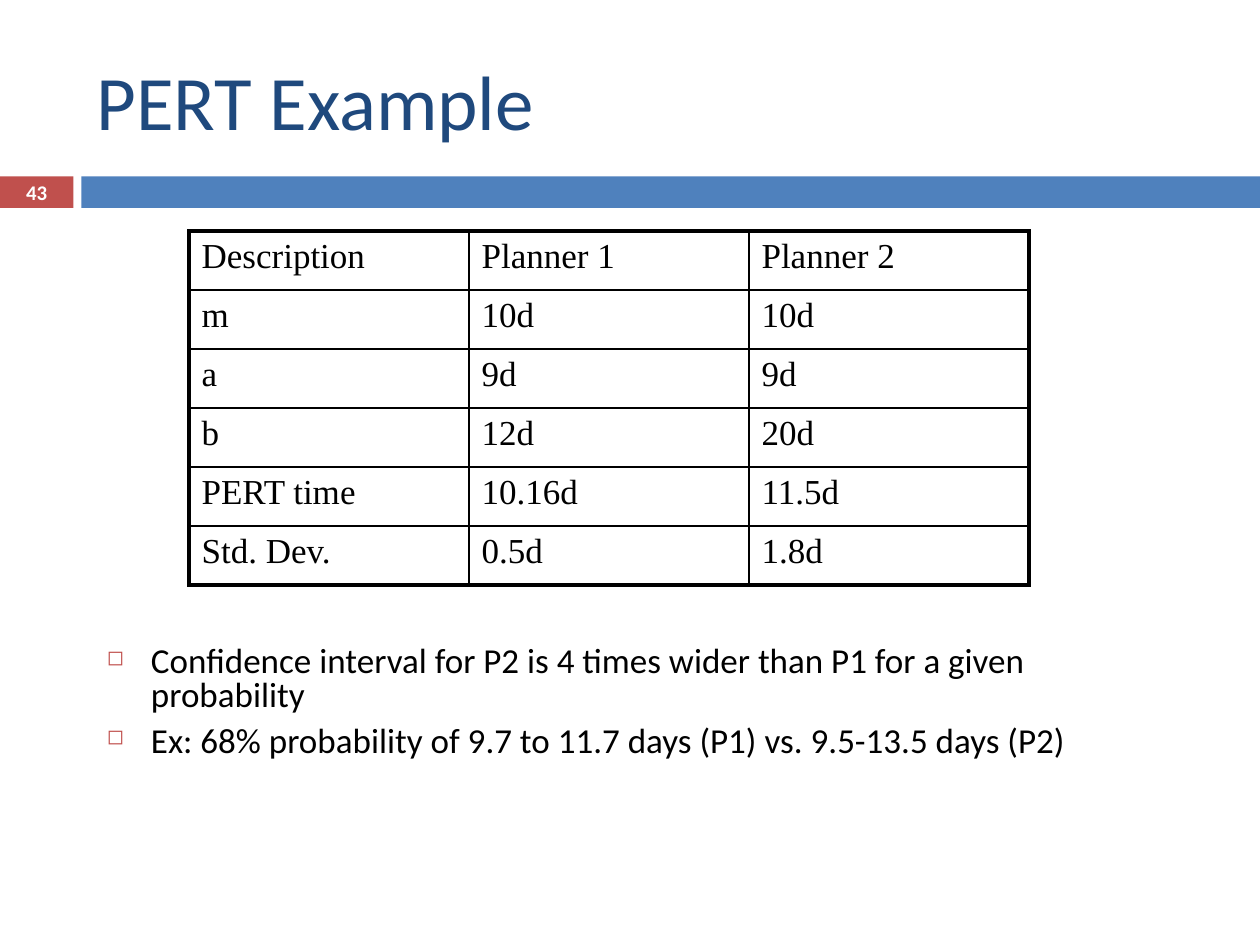
from lxml import etree
from pptx import Presentation
from pptx.dml.color import RGBColor
from pptx.enum.shapes import MSO_SHAPE
from pptx.enum.text import MSO_ANCHOR, PP_ALIGN
from pptx.oxml.ns import qn
from pptx.util import Pt

TITLE = "PERT Example"
PAGE = "43"
ROWS = [
    ("Description", "Planner 1", "Planner 2"),
    ("m", "10d", "10d"),
    ("a", "9d", "9d"),
    ("b", "12d", "20d"),
    ("PERT time", "10.16d", "11.5d"),
    ("Std. Dev.", "0.5d", "1.8d"),
]
POINTS = [
    "Confidence interval for P2 is 4 times wider than P1 for a given probability",
    "Ex: 68% probability of 9.7 to 11.7 days (P1) vs. 9.5-13.5 days (P2)",
]
BLACK, WHITE, RED, BLUE, NAVY = "000000", "FFFFFF", "C0504D", "4F81BD", "1F497D"
BARS = [(0, 42, RED), (46.5, 673.5, BLUE)]
BAR_TOP, BAR_HEIGHT = 100.8, 18
COL_WIDTH, ROW_HEIGHT = 160, 33.75
THIN, THICK = 1, 2.25


def color(value):
    return RGBColor.from_string(value)


def style(p, size, value, name="Calibri", bold=False):
    for r in p.runs:
        r.font.size = Pt(size)
        r.font.name = name
        r.font.bold = bold
        r.font.color.rgb = color(value)


def add_text(s, box, lines, size, value, anchor=MSO_ANCHOR.TOP, bold=False):
    tf = s.shapes.add_textbox(*map(Pt, box)).text_frame
    tf.word_wrap = True
    tf.vertical_anchor = anchor
    tf.text = "\n".join(lines)
    for p in tf.paragraphs:
        style(p, size, value, bold=bold)
    return tf


def add_bullet(p):
    pPr = p._p.get_or_add_pPr()
    pPr.set("marL", str(Pt(25.2)))
    pPr.set("indent", str(Pt(-25.2)))
    clr = etree.SubElement(pPr, qn("a:buClr"))
    etree.SubElement(clr, qn("a:srgbClr"), val=RED)
    etree.SubElement(pPr, qn("a:buSzPct"), val="60000")
    etree.SubElement(pPr, qn("a:buChar"), char="◻")


def set_borders(cell, widths):
    tcPr = cell._tc.get_or_add_tcPr()
    for i, (side, width) in enumerate(widths.items()):
        ln = etree.Element(qn(f"a:ln{side}"), w=str(Pt(width)))
        fill = etree.SubElement(ln, qn("a:solidFill"))
        etree.SubElement(fill, qn("a:srgbClr"), val=BLACK)
        tcPr.insert(i, ln)


def add_table(s):
    n_rows, n_cols = len(ROWS), len(ROWS[0])
    table = s.shapes.add_table(n_rows, n_cols, Pt(108), Pt(132),
                               Pt(COL_WIDTH * n_cols), Pt(ROW_HEIGHT * n_rows)).table
    for col in table.columns:
        col.width = Pt(COL_WIDTH)
    for i, values in enumerate(ROWS):
        table.rows[i].height = Pt(ROW_HEIGHT)
        for j, value in enumerate(values):
            cell = table.cell(i, j)
            cell.text = value
            cell.fill.background()
            style(cell.text_frame.paragraphs[0], 20, BLACK, "Times New Roman")
            outer = {"L": j == 0, "R": j == n_cols - 1, "T": i == 0, "B": i == n_rows - 1}
            set_borders(cell, {k: THICK if edge else THIN for k, edge in outer.items()})


def main():
    prs = Presentation()
    prs.slide_width, prs.slide_height = Pt(720), Pt(540)
    s = prs.slides.add_slide(prs.slide_layouts[6])

    for left, width, value in BARS:
        bar = s.shapes.add_shape(MSO_SHAPE.RECTANGLE, Pt(left), Pt(BAR_TOP),
                                 Pt(width), Pt(BAR_HEIGHT))
        bar.shadow.inherit = False
        bar.fill.solid()
        bar.fill.fore_color.rgb = color(value)
        bar.line.fill.background()

    tf = add_text(s, (0, 100.2, 42, 19.2), [PAGE], 11.9, WHITE, MSO_ANCHOR.MIDDLE, True)
    tf.margin_top = tf.margin_bottom = 0
    tf.paragraphs[0].alignment = PP_ALIGN.CENTER

    add_text(s, (48, 18, 642, 78), [TITLE], 44, NAVY, MSO_ANCHOR.MIDDLE)

    tf = add_text(s, (54, 366, 612, 78), POINTS, 20, BLACK)
    for i, p in enumerate(tf.paragraphs):
        add_bullet(p)
        p.line_spacing = 0.8
        p.space_before = Pt(7 if i else 0)

    add_table(s)
    prs.save("out.pptx")


if __name__ == "__main__":
    main()
